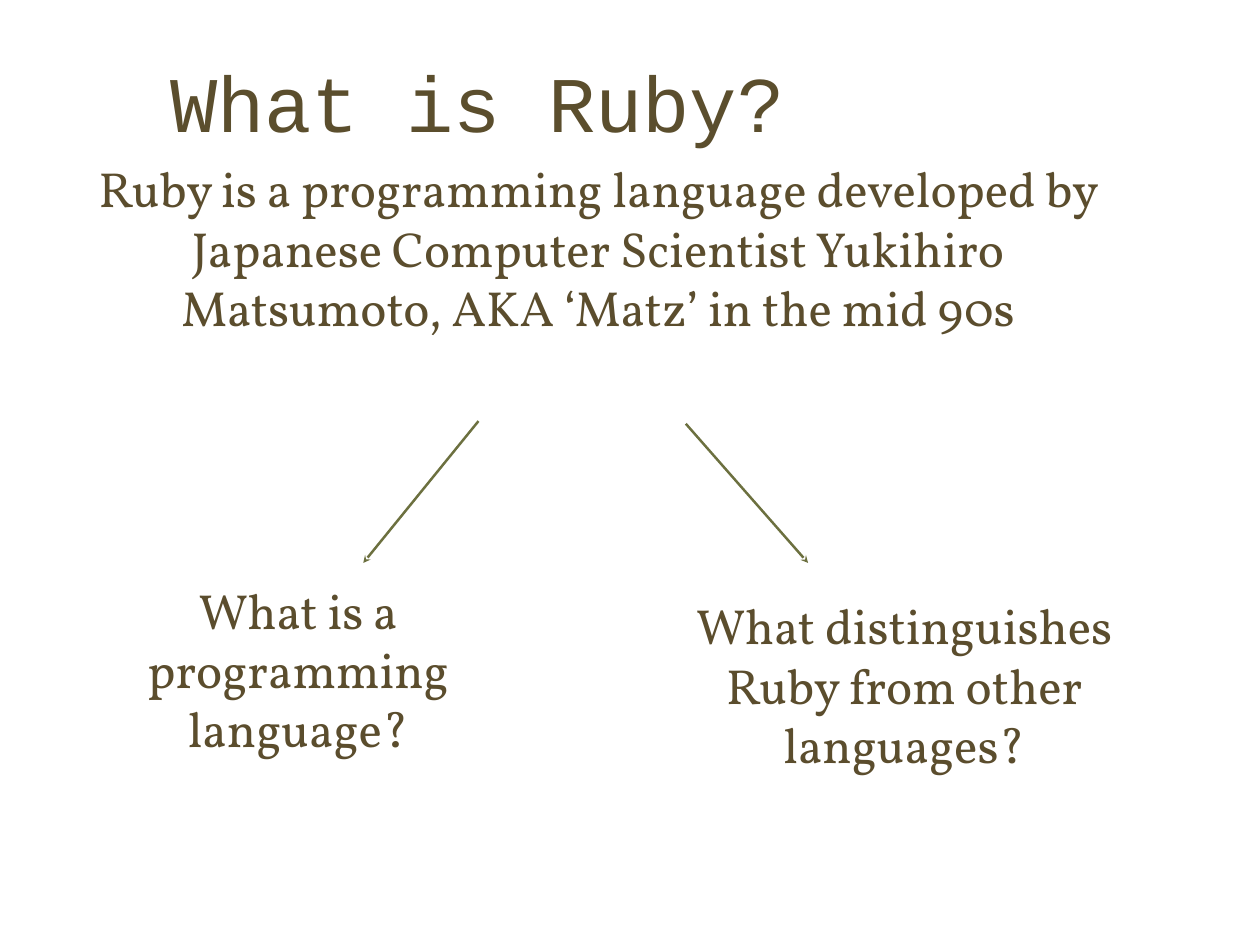
"""Build a slide that introduces Ruby and leads to two questions."""
from lxml.etree import SubElement
from pptx import Presentation
from pptx.dml.color import RGBColor
from pptx.enum.shapes import MSO_CONNECTOR
from pptx.enum.text import MSO_ANCHOR, PP_ALIGN
from pptx.oxml.ns import qn
from pptx.util import Inches, Pt

COLORS = {"title": "5B4E2D", "body": "5B4D2D", "arrow": "6C703F"}
TITLE_FORMAT = {"name": "Courier New", "size": Pt(64)}
BODY_FORMAT = {"name": "Vollkorn", "size": Pt(40)}
BODY_TEXTS = [
    ("Ruby is a programming language developed by Japanese Computer Scientist "
     "Yukihiro Matsumoto, AKA ‘Matz’ in the mid 90s", (0.93, 1.63, 11.64, 2.32)),
    ("What is a programming language?", (0.72, 6.38, 5.29, 2.32)),
    ("What distinguishes Ruby from other languages?", (7.61, 6.56, 5.19, 2.32)),
]
ARROWS = [((5.4, 4.75), (4.1, 6.35)), ((7.74, 4.78), (9.12, 6.35))]


def add_text(slide, text, box, font_format, color, inset=0):
    """Add a centred text box."""
    shape = slide.shapes.add_textbox(*map(Inches, box))
    frame_format = {"word_wrap": True, "vertical_anchor": MSO_ANCHOR.MIDDLE}
    for side in ("left", "top", "right", "bottom"):
        frame_format[f"margin_{side}"] = Inches(inset)
    for name, value in frame_format.items():
        setattr(shape.text_frame, name, value)
    paragraph = shape.text_frame.paragraphs[0]
    paragraph.alignment = PP_ALIGN.CENTER
    run = paragraph.add_run()
    run.text = text
    for name, value in font_format.items():
        setattr(run.font, name, value)
    run.font.color.rgb = RGBColor.from_string(COLORS[color])


def add_arrow(slide, start, end):
    """Add a straight arrow that points at its end."""
    connector = slide.shapes.add_connector(
        MSO_CONNECTOR.STRAIGHT, *map(Inches, start + end))
    connector.line.color.rgb = RGBColor.from_string(COLORS["arrow"])
    connector.line.width = Pt(2)
    properties = connector._element.spPr
    SubElement(properties.find(qn("a:ln")), qn("a:tailEnd"), type="stealth")
    SubElement(properties, qn("a:effectLst"))


def main():
    """Build and save the slide."""
    presentation = Presentation()
    presentation.slide_width = Inches(14.22)
    presentation.slide_height = Inches(10.66)
    slide = presentation.slides.add_slide(presentation.slide_layouts[6])
    add_text(slide, "What is Ruby?", (1.67, 0.28, 7.43, 1.72),
             TITLE_FORMAT, "title", inset=0.06)
    for text, box in BODY_TEXTS:
        add_text(slide, text, box, BODY_FORMAT, "body")
    for start, end in ARROWS:
        add_arrow(slide, start, end)
    presentation.save("out.pptx")


if __name__ == "__main__":
    main()
